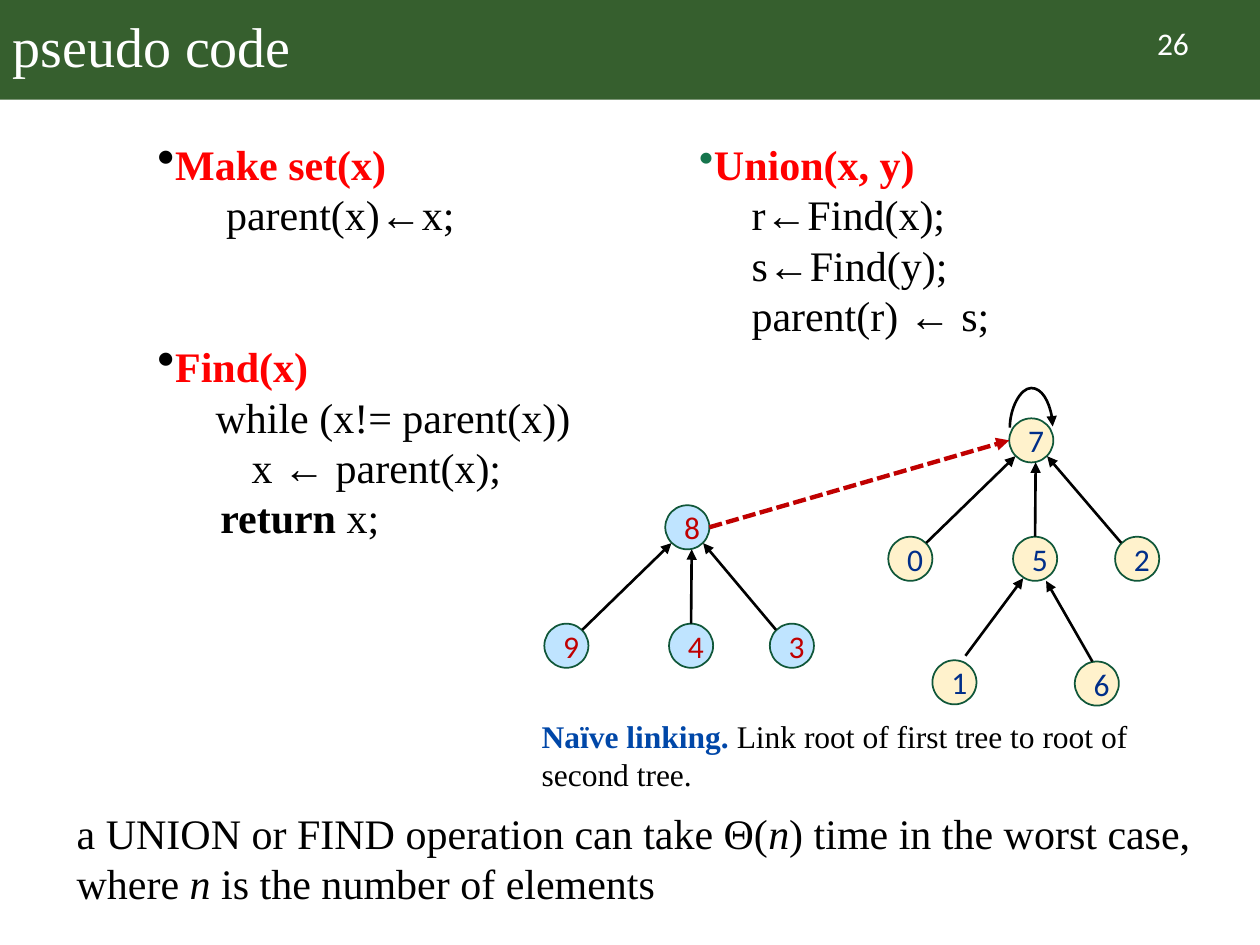
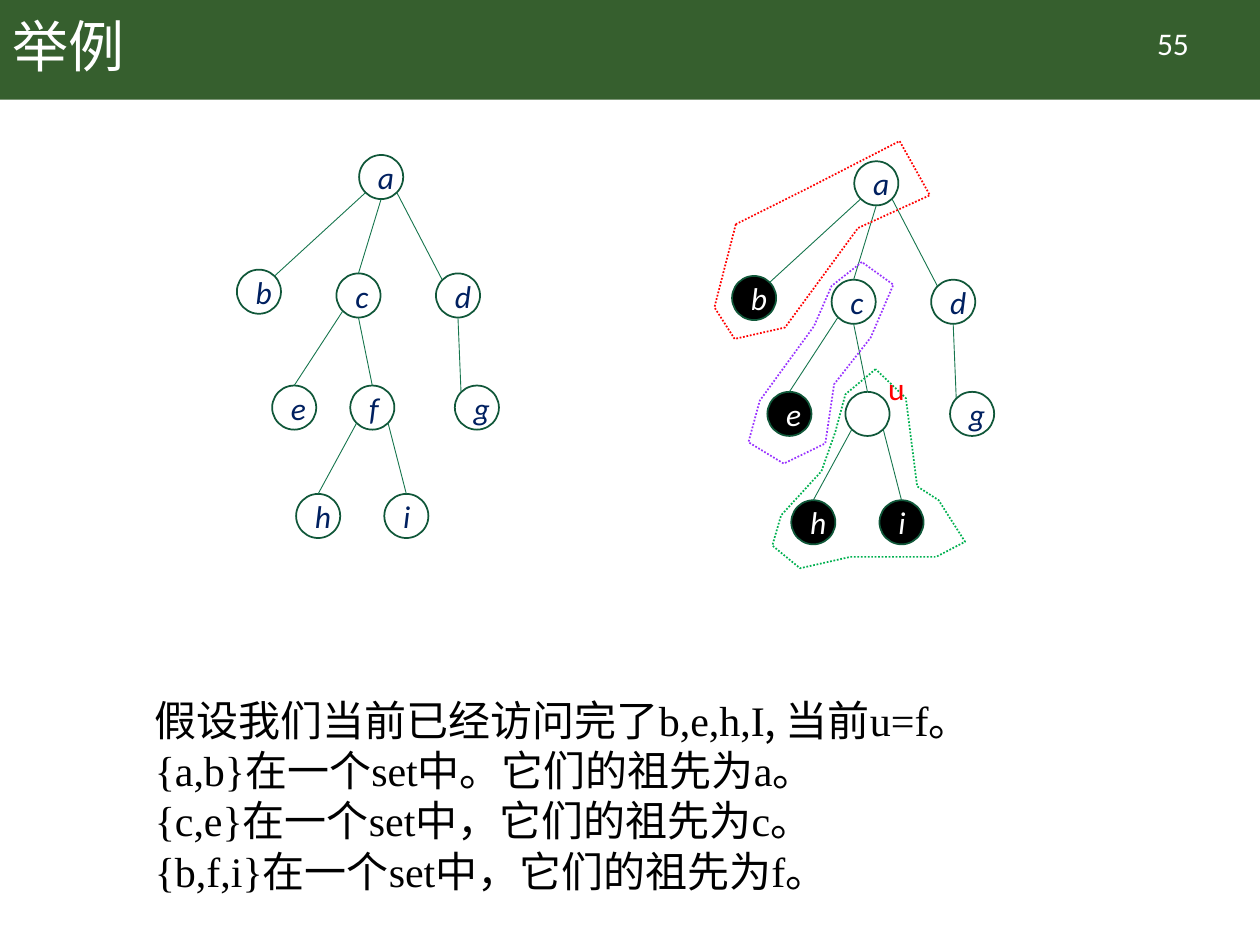
import dataclasses

import pptx
import pptx.dml.color
import pptx.enum.dml
import pptx.enum.shapes
import pptx.enum.text
import pptx.oxml
import pptx.oxml.ns
import pptx.util

COLUMNS, ROWS = 10, 7.5
CELL = pptx.util.Inches(1)
NODE = 0.35

DASH = pptx.enum.dml.MSO_LINE
SHAPE = pptx.enum.shapes.MSO_SHAPE
ALIGN = pptx.enum.text.PP_ALIGN
ANCHOR = pptx.enum.text.MSO_ANCHOR


@dataclasses.dataclass(frozen=True)
class Theme:
    serif: str = "Times New Roman"
    sans: str = "Calibri"
    cjk: str = "Noto Sans CJK SC"
    title: int = 32
    body: int = 24
    small: int = 18
    band: str = "365F2E"
    white: str = "FFFFFF"
    black: str = "000000"
    red: str = "FF0000"
    purple: str = "9933FF"
    green: str = "00B050"
    branch: str = "16754D"
    outline: str = "105739"
    navy: str = "002060"
    term: str = "0047A8"
    first_fill: str = "BFE4FF"
    first_text: str = "C00000"
    second_fill: str = "FFF2CC"
    second_text: str = "002E89"


T = Theme()

# Points on a node where an edge may start or end, as shares of its box
SITES = {"top": (0.5, 0), "bottom": (0.5, 1), "nw": (0.14, 0.14),
         "ne": (0.86, 0.14), "sw": (0.14, 0.86), "se": (0.86, 0.86)}


def cells(*counts):
    """Turn counts of grid cells into slide lengths."""
    return [round(n * CELL) for n in counts]


def rgb(value):
    return pptx.dml.color.RGBColor.from_string(value)


def add_xml(parent, tag, **attributes):
    el = pptx.oxml.parse_xml(f"<a:{tag} {pptx.oxml.ns.nsdecls('a')}/>")
    for key, value in attributes.items():
        el.set(key, str(value))
    parent.append(el)
    return el


def font_for(text, latin):
    return T.cjk if any(ord(ch) > 0x2E00 for ch in text) else latin


def format_run(r, size, color, latin=T.serif, bold=False, italic=False):
    name = font_for(r.text, latin)
    r.font.name, r.font.size = name, pptx.util.Pt(size)
    r.font.bold, r.font.italic = bold, italic
    r.font.color.rgb = rgb(color)
    if name == T.cjk:
        add_xml(r.font._element, "ea", typeface=name)


def add_bullet(p, color, percent):
    pPr = p._p.get_or_add_pPr()
    add_xml(add_xml(pPr, "buClr"), "srgbClr", val=color)
    add_xml(pPr, "buSzPct", val=percent * 1000)
    add_xml(pPr, "buChar", char="•")


def set_indent(p, columns):
    pPr = p._p.get_or_add_pPr()
    pPr.set("marL", str(cells(columns)[0]))
    pPr.set("indent", "0")


def add_text(s, box, paragraphs, size=T.body, color=T.black, latin=T.serif, wrap=True):
    """Each paragraph is a list of runs: a string, or a string with its font changes."""
    tf = s.shapes.add_textbox(*cells(*box)).text_frame
    tf.word_wrap = wrap
    for i, runs in enumerate(paragraphs):
        p = tf.add_paragraph() if i else tf.paragraphs[0]
        for run in runs:
            text, changes = (run, {}) if isinstance(run, str) else run
            r = p.add_run()
            r.text = text
            format_run(r, **{"size": size, "color": color, "latin": latin, **changes})
    return tf


def add_heading(p, indent, color, percent):
    set_indent(p, indent)
    add_bullet(p, color, percent)


def add_frame(prs, title, number):
    """A blank slide with the band, title and page number that all slides share."""
    s = prs.slides.add_slide(prs.slide_layouts[6])
    band = s.shapes.add_shape(SHAPE.RECTANGLE, *cells(0, 0, COLUMNS, 0.79))
    band.shadow.inherit = False
    band.fill.solid()
    band.fill.fore_color.rgb = rgb(T.band)
    band.line.fill.background()
    tf = add_text(s, (0, 0, 8.62, 0.79), [[title]], T.title, T.white)
    tf.vertical_anchor = ANCHOR.MIDDLE
    tf.paragraphs[0].line_spacing = 0.9
    tf = add_text(s, (8.71, 0.14, 1.2, 0.4), [[number]], T.small, T.white, T.sans)
    tf.paragraphs[0].alignment = ALIGN.CENTER
    return s


def add_node(s, at, label, fill, color, italic=False):
    sp = s.shapes.add_shape(SHAPE.OVAL, *cells(*at, NODE, NODE))
    sp.shadow.inherit = False
    sp.fill.solid()
    sp.fill.fore_color.rgb = rgb(fill)
    sp.line.color.rgb = rgb(T.outline)
    sp.line.width = pptx.util.Pt(1)
    p = sp.text_frame.paragraphs[0]
    p.text = label
    p.alignment = ALIGN.CENTER
    for r in p.runs:
        format_run(r, T.small, color, T.sans, italic=italic)


def add_line(s, start, end, color, width, arrow=False, dash=None,
             kind=pptx.enum.shapes.MSO_CONNECTOR.STRAIGHT):
    line = s.shapes.add_connector(kind, *cells(*start, *end))
    line.line.color.rgb = rgb(color)
    line.line.width = pptx.util.Pt(width)
    if dash:
        line.line.dash_style = dash
    if arrow:
        add_xml(line.line._get_or_add_ln(), "tailEnd", type="triangle")
    add_xml(line._element.spPr, "effectLst")
    return line


def site(nodes, name, where):
    x, y = SITES.get(where, where)
    left, top = nodes[name]
    return left + x * NODE, top + y * NODE


def add_edges(s, nodes, edges, color, width, arrow=False):
    """Join each child to its parent: child, site, parent, site."""
    for child, child_site, parent, parent_site in edges:
        add_line(s, site(nodes, child, child_site), site(nodes, parent, parent_site),
                 color, width, arrow)


def add_self_loop(s, left, right, y, height):
    """Draw a curved arrow that leaves and enters the same node from above."""
    x, half, thin = (left + right) / 2, (right - left) / 2, 0.01
    loop = add_line(s, (x + thin, y + half), (x, y - half), T.black, 1.5, True,
                    kind=pptx.enum.shapes.MSO_CONNECTOR.CURVE)
    spPr = loop._element.spPr
    spPr.xfrm.set("rot", str(90 * 60000))
    guides = spPr.prstGeom.get_or_add_avLst()
    add_xml(guides, "gd", name="adj1", fmla=f"val {round(height / thin * 100000)}")


def add_outline(s, points, color):
    corners = [cells(*pt) for pt in points]
    fb = s.shapes.build_freeform(*corners[0], scale=1.0)
    fb.add_line_segments(corners[1:], close=True)
    sp = fb.convert_to_shape()
    sp.shadow.inherit = False
    sp.fill.background()
    sp.line.color.rgb = rgb(color)
    sp.line.width = pptx.util.Pt(1)
    sp.line.dash_style = DASH.ROUND_DOT


FIRST_TREE = {"9": (4.32, 4.95), "4": (5.31, 4.95), "3": (6.11, 4.95), "8": (5.28, 4.01)}
SECOND_TREE = {"0": (7.05, 4.26), "5": (8.04, 4.26), "2": (8.85, 4.26),
               "7": (8.01, 3.32), "1": (7.4, 5.24), "6": (8.53, 5.25)}
FIRST_EDGES = [("4", "top", "8", (0.6, 1)), ("9", "ne", "8", "sw"), ("3", "nw", "8", "se")]
SECOND_EDGES = [("5", "top", "7", (0.6, 1)), ("0", "ne", "7", "sw"), ("2", "nw", "7", "se"),
                ("1", (0.75, -0.1), "5", (0.23, 0.94)), ("6", (0.4, 0), "5", (0.75, 1))]


def build_pseudo_code(prs):
    s = add_frame(prs, "pseudo code", "26")
    head = {"color": T.red, "bold": True}
    tf = add_text(s, (0.9, 1.05, 8.89, 6.3), [
        [("Make set(x)", head)],
        ["     parent(x)←x;"],
        [("Find(x)", head)],
        ["    while (x!= parent(x))"],
        ["            x ← parent(x);"],
        ["         ", ("return", {"bold": True}), " x;"]])
    make, make_step, find, find_step = tf.paragraphs[:4]
    for p in (make, find):
        add_heading(p, 0.25, T.black, 120)
    for p in (make_step, find_step):
        set_indent(p, 0.38)
    find.space_before = pptx.util.Pt(58)

    tf = add_text(s, (5.2, 1.05, 3.42, 1.83), [
        [("Union(x, y)", head)],
        ["        r←Find(x);"],
        ["        s←Find(y);"],
        ["        parent(r) ← s;"]])
    add_heading(tf.paragraphs[0], 0.25, T.branch, 100)

    italic = {"italic": True}
    add_text(s, (0.51, 6.36, 9.55, 0.91), [[
        "a UNION or FIND operation can take Θ(", ("n", italic),
        ") time in the worst case, where ", ("n ", italic), "is the number of elements"]])

    for nodes, edges, fill, color in (
            (FIRST_TREE, FIRST_EDGES, T.first_fill, T.first_text),
            (SECOND_TREE, SECOND_EDGES, T.second_fill, T.second_text)):
        for label, at in nodes.items():
            add_node(s, at, label, fill, color)
        add_edges(s, nodes, edges, T.black, 1.5, arrow=True)
    add_line(s, site(FIRST_TREE, "8", (1, 0.5)), site(SECOND_TREE, "7", (0, 0.5)),
             T.first_text, 2.5, True, DASH.SQUARE_DOT)
    add_self_loop(s, 8.01, 8.35, 3.39, 0.32)
    add_text(s, (4.2, 5.64, 5.11, 0.71), [[
        ("Naïve linking. ", {"color": T.term, "bold": True}),
        "Link root of first tree to root of second tree."]], T.small)


LETTERS = {"a": (2.85, 1.23), "b": (1.88, 2.14), "c": (2.67, 2.17), "d": (3.46, 2.17),
           "e": (2.16, 3.06), "f": (2.78, 3.06), "g": (3.61, 3.06),
           "h": (2.35, 3.92), "i": (3.05, 3.92)}
LETTER_EDGES = [("b", "ne", "a", "sw"), ("c", "top", "a", "bottom"), ("d", "nw", "a", "se"),
                ("g", "nw", "d", "bottom"), ("e", "top", "c", "sw"),
                ("f", "top", "c", "bottom"), ("h", "top", "f", "sw"), ("i", "top", "f", "se")]
SETS = {
    T.red: [(5.84, 1.78), (5.67, 2.44), (5.83, 2.69), (6.23, 2.6), (6.81, 1.81),
            (7.38, 1.55), (7.14, 1.12), (6.42, 1.49)],
    T.purple: [(6.84, 2.08), (6.6, 2.27), (6.46, 2.59), (6.03, 3.18), (5.94, 3.51),
               (6.22, 3.68), (6.55, 3.52), (6.62, 3.05), (6.91, 2.68), (7.09, 2.26)],
    T.green: [(6.95, 2.93), (6.71, 3.13), (6.63, 3.43), (6.52, 3.74), (6.2, 4.09),
              (6.13, 4.33), (6.35, 4.51), (6.75, 4.42), (7.15, 4.42), (7.43, 4.42),
              (7.66, 4.3), (7.45, 3.97), (7.28, 3.86), (7.19, 3.16)],
}


def add_letter_tree(s, shift=(0, 0), visited="", current=""):
    nodes = {name: (x + shift[0], y + shift[1]) for name, (x, y) in LETTERS.items()}
    for name, at in nodes.items():
        fill, color = (T.black, T.white) if name in visited else (T.white, T.navy)
        add_node(s, at, "" if name == current else name, fill, color, italic=True)
    add_edges(s, nodes, LETTER_EDGES, T.branch, 0.5)


def build_example(prs):
    s = add_frame(prs, "举例", "55")
    add_letter_tree(s)
    add_letter_tree(s, shift=(3.93, 0.05), visited="behi", current="f")
    add_text(s, (1.13, 5.46, 8.95, 1.72), [
        ["假设我们当前已经访问完了", "b,e,h,I", ", 当前", "u=f", "。"],
        ["{a,b}", "在一个", "set", "中。它们的祖先为", "a", "。"],
        ["{c,e}", "在一个", "set", "中，它们的祖先为", "c", "。"],
        ["{b,f,i}", "在一个", "set", "中，它们的祖先为", "f", "。"]])
    for color, points in SETS.items():
        add_outline(s, points, color)
    add_text(s, (6.95, 2.88, 0.33, 0.4), [["u"]], T.small, T.red, T.sans, wrap=False)


def main():
    prs = pptx.Presentation()
    prs.slide_width, prs.slide_height = cells(COLUMNS, ROWS)
    build_pseudo_code(prs)
    build_example(prs)
    prs.save("out.pptx")


if __name__ == "__main__":
    main()
